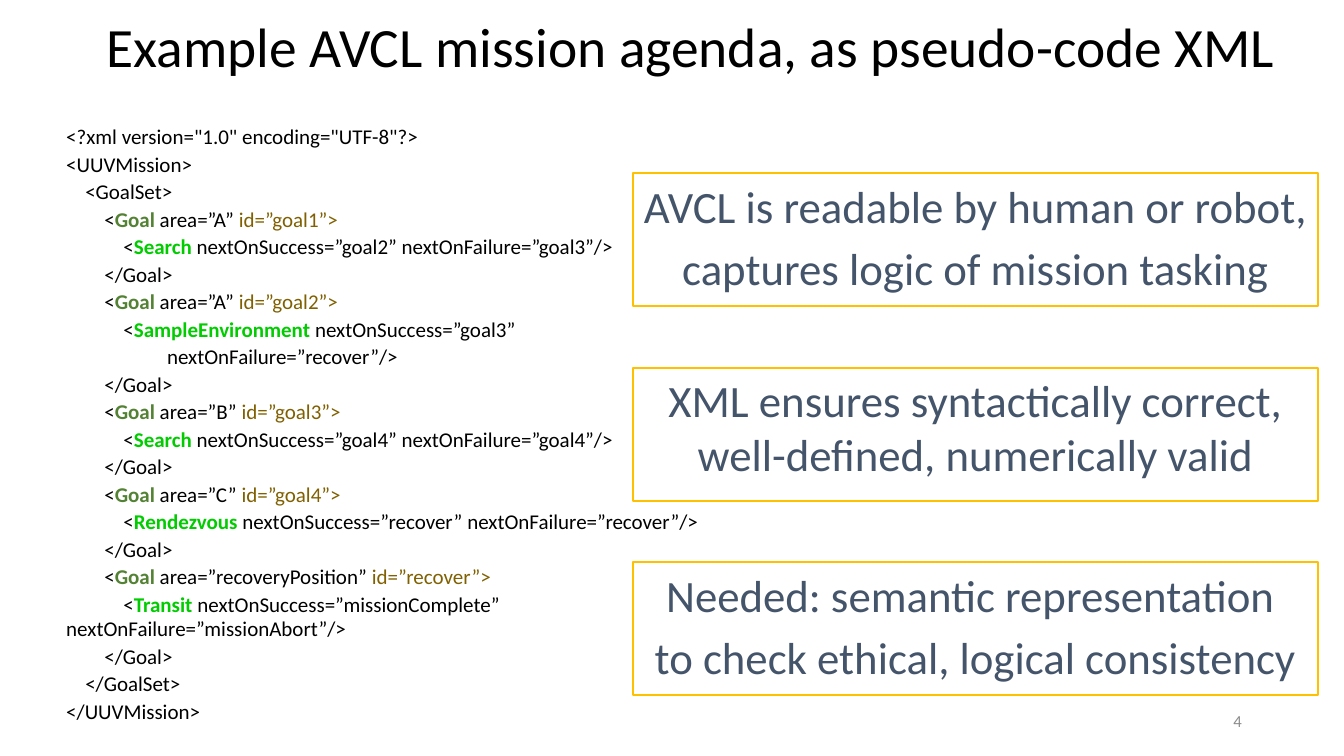
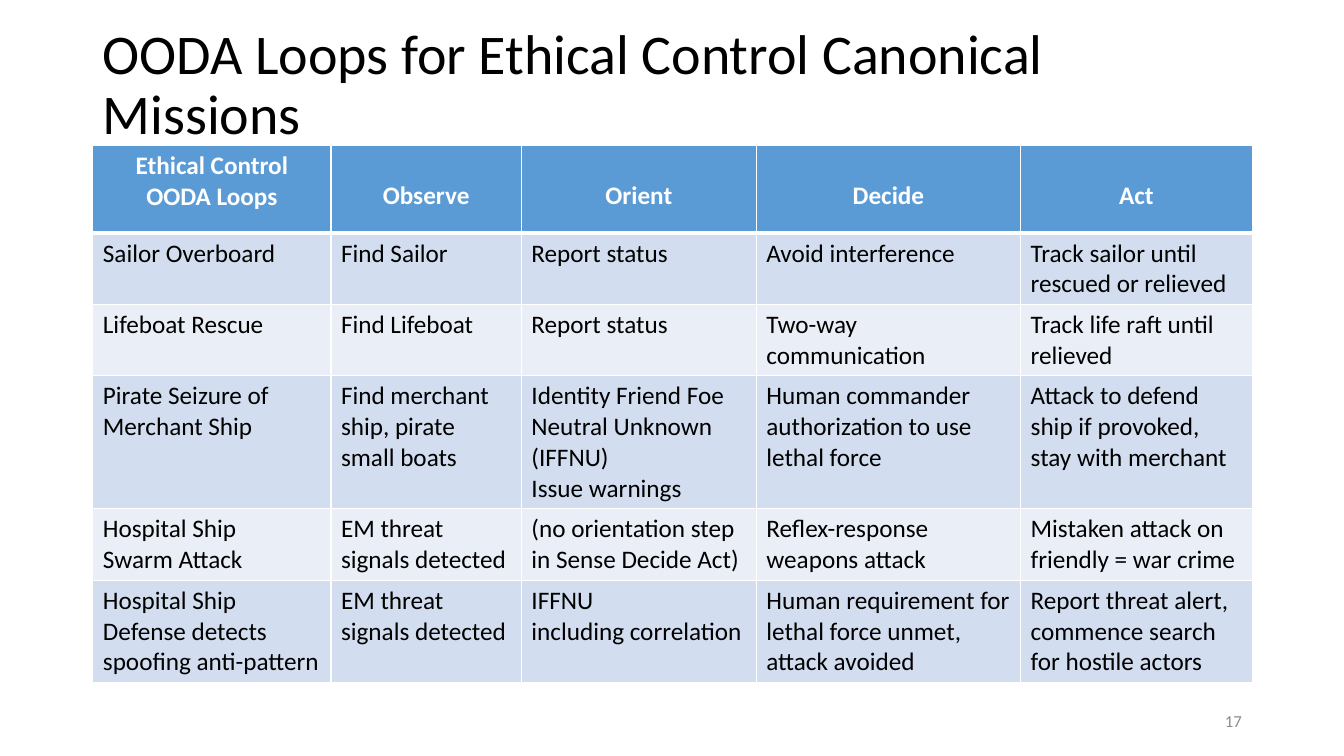
from dataclasses import dataclass
from typing import Any, NamedTuple

import lxml.etree
import pptx
import pptx.dml.color
import pptx.enum.shapes
import pptx.enum.text
import pptx.oxml
import pptx.oxml.ns
import pptx.util

Cm = pptx.util.Cm
Pt = pptx.util.Pt
RGBColor = pptx.dml.color.RGBColor
ALIGN = pptx.enum.text.PP_ALIGN
ANCHOR = pptx.enum.text.MSO_ANCHOR

# Shared style
FONT = "Calibri"
BLACK = RGBColor(0x00, 0x00, 0x00)
WHITE = RGBColor(0xFF, 0xFF, 0xFF)
GREY = RGBColor(0x8C, 0x8C, 0x8C)
SLATE = RGBColor(0x44, 0x54, 0x6A)
GOLD = RGBColor(0xFF, 0xC0, 0x00)
GOAL_GREEN = RGBColor(0x54, 0x82, 0x35)
TASK_GREEN = RGBColor(0x00, 0xCC, 0x00)
ID_BROWN = RGBColor(0x80, 0x60, 0x00)
HEADER_BLUE = RGBColor(0x5B, 0x9B, 0xD5)
BANDS = (RGBColor(0xD2, 0xDE, 0xEF), RGBColor(0xEA, 0xEF, 0xF7))
INDENT = 0.48  # centimetres per nesting level


class Box(NamedTuple):
    left: float
    top: float
    width: float
    height: float

    def lengths(self) -> list[int]:
        return [Cm(v) for v in self]


class Token(NamedTuple):
    text: str
    color: RGBColor = BLACK
    bold: bool = False


class CodeLine(NamedTuple):
    indent: float
    tokens: list[Token]


@dataclass
class Goal:
    area: str
    name: str
    task: str
    success: str
    failure: str
    split: bool = False

    def lines(self) -> list[CodeLine]:
        success = f"nextOnSuccess=”{self.success}”"
        failure = f"nextOnFailure=”{self.failure}”/>"
        task = [Token("<"), Token(f"{self.task} ", TASK_GREEN, True)]
        if self.split:
            body = [CodeLine(3 * INDENT, task + [Token(success)]),
                    CodeLine(2.54, [Token(failure)])]
        else:
            body = [CodeLine(3 * INDENT, task + [Token(f"{success} {failure}")])]
        opening = [Token("<"), Token("Goal", GOAL_GREEN, True),
                   Token(f" area=”{self.area}” "), Token(f"id=”{self.name}”>", ID_BROWN)]
        return [CodeLine(2 * INDENT, opening), *body,
                CodeLine(2 * INDENT, [Token("</Goal>")])]


@dataclass
class Callout:
    lines: list[str]
    top: float


def style_run(r: Any, size: float, color: RGBColor, bold: bool = False) -> None:
    r.font.name, r.font.size, r.font.bold = FONT, Pt(size), bold
    r.font.color.rgb = color


def set_text(tf: Any, text: str, size: float, color: RGBColor,
             bold: bool = False, align: Any = ALIGN.LEFT) -> None:
    tf.word_wrap = True
    tf.text = text
    for p in tf.paragraphs:
        p.alignment = align
        for r in p.runs:
            style_run(r, size, color, bold)


def add_label(s: Any, box: Box, text: str, size: float, color: RGBColor,
              align: Any = ALIGN.LEFT) -> Any:
    tf = s.shapes.add_textbox(*box.lengths()).text_frame
    set_text(tf, text, size, color, align=align)
    tf.vertical_anchor = ANCHOR.MIDDLE
    return tf


def add_slide(prs: Any, title: str, box: Box, size: float, number: int) -> Any:
    """Blank slide with the shared title style and slide number."""
    s = prs.slides.add_slide(prs.slide_layouts[6])
    add_label(s, box, title, size, BLACK).paragraphs[0].line_spacing = 0.9
    add_label(s, Box(23.93, 17.65, 7.62, 1.02), str(number), 12, GREY, ALIGN.RIGHT)
    return s


def add_code(s: Any, box: Box, lines: list[CodeLine]) -> None:
    tf = s.shapes.add_textbox(*box.lengths()).text_frame
    tf.word_wrap = True
    for i, line in enumerate(lines):
        p = tf.add_paragraph() if i else tf.paragraphs[0]
        p.space_before, p.line_spacing = Pt(2), 0.98
        p._p.get_or_add_pPr().set("indent", str(Cm(line.indent)))
        for token in line.tokens:
            r = p.add_run()
            r.text = token.text
            style_run(r, 15, token.color, token.bold)


def add_callout(s: Any, callout: Callout) -> None:
    box = Box(15.95, callout.top, 17.27, 3.35)
    sp = s.shapes.add_shape(pptx.enum.shapes.MSO_SHAPE.RECTANGLE, *box.lengths())
    sp.shadow.inherit = False
    sp.fill.background()
    sp.line.color.rgb, sp.line.width = GOLD, Pt(1.5)
    tf = sp.text_frame
    set_text(tf, "\n".join(callout.lines), 32, SLATE, align=ALIGN.CENTER)
    tf.vertical_anchor = ANCHOR.TOP
    for p in tf.paragraphs[1:]:
        p.space_before = Pt(6.4)


def set_borders(cell: Any, top: float, bottom: float) -> None:
    tc_pr = cell._tc.get_or_add_tcPr()
    qn = pptx.oxml.ns.qn
    sides = (("lnL", 1), ("lnR", 1), ("lnT", top), ("lnB", bottom))
    for i, (side, width) in enumerate(sides):
        ln = lxml.etree.Element(qn(f"a:{side}"), w=str(Pt(width)))
        fill = lxml.etree.SubElement(ln, qn("a:solidFill"))
        lxml.etree.SubElement(fill, qn("a:srgbClr"), val=str(WHITE))
        tc_pr.insert(i, ln)


def add_grid(s: Any, left: float, top: float, widths: list[float],
             heights: list[float], rows: list[list[str]]) -> None:
    box = Box(left, top, sum(widths), sum(heights))
    table = s.shapes.add_table(len(rows), len(widths), *box.lengths()).table
    for column, width in zip(table.columns, widths):
        column.width = Cm(width)
    for i, (row, height) in enumerate(zip(rows, heights)):
        table.rows[i].height = Cm(height)
        header = i == 0
        for j, text in enumerate(row):
            cell = table.cell(i, j)
            set_text(cell.text_frame, text, 18, WHITE if header else BLACK, header,
                     ALIGN.CENTER if header else ALIGN.LEFT)
            cell.fill.solid()
            cell.fill.fore_color.rgb = HEADER_BLUE if header else BANDS[(i - 1) % 2]
            set_borders(cell, 3 if i == 1 else 1, 3 if header else 1)
            if header and j:  # level with the second line of the first heading
                cell.margin_top = Cm(0.9)


GOALS = [
    Goal("A", "goal1", "Search", "goal2", "goal3"),
    Goal("A", "goal2", "SampleEnvironment", "goal3", "recover", split=True),
    Goal("B", "goal3", "Search", "goal4", "goal4"),
    Goal("C", "goal4", "Rendezvous", "recover", "recover"),
    Goal("recoveryPosition", "recover", "Transit", "missionComplete", "missionAbort"),
]
CALLOUTS = [
    ["AVCL is readable by human or robot,", "captures logic of mission tasking"],
    ["XML ensures syntactically correct, well-defined, numerically valid"],
    ["Needed: semantic representation ", "to check ethical, logical consistency"],
]
LOOPS = [
    ["Ethical Control OODA Loops", "Observe", "Orient", "Decide", "Act"],
    ["Sailor Overboard", "Find Sailor", "Report status", "Avoid interference",
     "Track sailor until rescued or relieved"],
    ["Lifeboat Rescue", "Find Lifeboat", "Report status", "Two-way communication",
     "Track life raft until relieved"],
    ["Pirate Seizure of Merchant Ship", "Find merchant ship, pirate small boats",
     "Identity Friend Foe Neutral Unknown (IFFNU)\nIssue warnings",
     "Human commander authorization to use lethal force",
     "Attack to defend ship if provoked, stay with merchant"],
    ["Hospital Ship\nSwarm Attack", "EM threat signals detected",
     "(no orientation step in Sense Decide Act)", "Reflex-response weapons attack",
     "Mistaken attack on friendly = war crime"],
    ["Hospital Ship\nDefense detects\nspoofing anti-pattern",
     "EM threat signals detected", "IFFNU\nincluding correlation",
     "Human requirement for lethal force unmet, attack avoided",
     "Report threat alert, commence search for hostile actors"],
]


def main() -> None:
    prs = pptx.Presentation()
    prs.slide_width, prs.slide_height = Cm(33.87), Cm(19.05)

    # Mission agenda
    s = add_slide(prs, "Example AVCL mission agenda, as pseudo-code XML",
                  Box(2.44, -0.33, 30.76, 3.18), 39.6, 4)
    code = [CodeLine(0, [Token('<?xml version="1.0" encoding="UTF-8"?>')]),
            CodeLine(0, [Token("<UUVMission>")]),
            CodeLine(INDENT, [Token("<GoalSet>")])]
    for goal in GOALS:
        code += goal.lines()
    code += [CodeLine(INDENT, [Token("</GoalSet>")]),
             CodeLine(0, [Token("</UUVMission>")])]
    add_code(s, Box(1.42, 3.02, 16.97, 15.88), code)
    for i, lines in enumerate(CALLOUTS):
        add_callout(s, Callout(lines, 4.37 + 4.9 * i))

    # OODA loops
    s = add_slide(prs, "OODA Loops for Ethical Control Canonical Missions",
                  Box(2.34, 1.02, 29.21, 2.31), 40, 17)
    add_grid(s, 2.34, 3.66, [6, 4.8, 5.92, 6.66, 5.84],
             [2.21, 1.8, 1.8, 3.35, 1.8, 2.58], LOOPS)

    prs.save("out.pptx")


if __name__ == "__main__":
    main()
